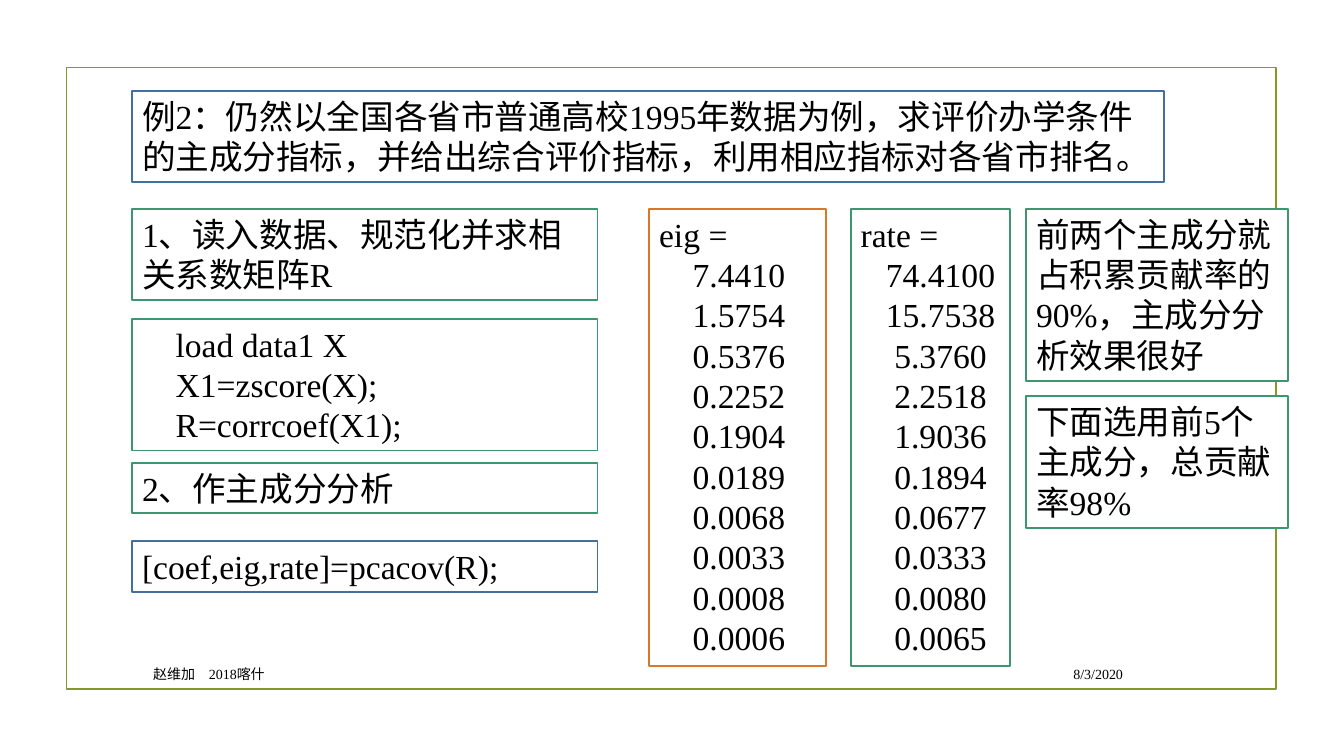
from pptx import Presentation
from pptx import util as u
from pptx.dml.color import RGBColor
from pptx.enum import shapes, text

FONT = "Times New Roman"
BLACK = RGBColor(0x00, 0x00, 0x00)
WHITE = RGBColor(0xFF, 0xFF, 0xFF)
OLIVE = RGBColor(0x83, 0x99, 0x2A)
BLUE = RGBColor(0x44, 0x70, 0x9D)
GREEN = RGBColor(0x3C, 0x97, 0x70)
ORANGE = RGBColor(0xD9, 0x78, 0x28)

# Column positions, shared top edge and line spacing, in cm
STEP_LEFT, STEP_WIDTH = 3.33, 11.73
NOTE_LEFT, NOTE_WIDTH = 25.86, 6.6
COLUMN_TOP = 5.26
LINE_HEIGHT, BOX_PADDING = 1.024, 0.254
SPACE = 6  # width of one space at 24 pt, in points

EIGENVALUES = ["7.4410", "1.5754", "0.5376", "0.2252", "0.1904",
               "0.0189", "0.0068", "0.0033", "0.0008", "0.0006"]
RATES = ["74.4100", "15.7538", "5.3760", "2.2518", "1.9036",
         "0.1894", "0.0677", "0.0333", "0.0080", "0.0065"]


def write_line(paragraph, content, size, align, indent=0):
    paragraph.alignment = align
    if indent:
        properties = paragraph._p.get_or_add_pPr()
        properties.set("marL", str(u.Pt(indent)))
        properties.set("indent", "0")
    run = paragraph.add_run()
    run.text = content
    run.font.size = u.Pt(size)
    run.font.name = FONT
    run.font.color.rgb = BLACK


def add_outline(slide, left, top, width, height, color):
    outline = slide.shapes.add_shape(
        shapes.MSO_SHAPE.RECTANGLE,
        u.Cm(left), u.Cm(top), u.Cm(width), u.Cm(height))
    outline.shadow.inherit = False
    outline.fill.background()
    outline.line.color.rgb = color
    outline.line.width = u.Pt(1.25)
    return outline


def add_box(slide, left, top, width, color, lines, rows=None,
            align=text.PP_ALIGN.LEFT):
    """Each line is (text, indent); rows counts lines after wrapping."""
    height = BOX_PADDING + LINE_HEIGHT * (rows or len(lines))
    box = add_outline(slide, left, top, width, height, color)
    box.fill.solid()
    box.fill.fore_color.rgb = WHITE
    frame = box.text_frame
    frame.word_wrap = True
    frame.auto_size = text.MSO_AUTO_SIZE.SHAPE_TO_FIT_TEXT
    frame.vertical_anchor = text.MSO_ANCHOR.TOP
    for index, (content, indent) in enumerate(lines):
        paragraph = frame.add_paragraph() if index else frame.paragraphs[0]
        write_line(paragraph, content, 24, align, indent)


def add_values(slide, left, width, color, heading, values):
    # Seven-character numbers start one space further left
    lines = [(heading, 0)]
    lines += [(value, SPACE * (4 if len(value) == 6 else 3))
              for value in values]
    add_box(slide, left, COLUMN_TOP, width, color, lines)


def add_footer(slide, left, width, content, align):
    footer = slide.shapes.add_textbox(
        u.Cm(left), u.Cm(16.59), u.Cm(width), u.Cm(0.79))
    frame = footer.text_frame
    frame.word_wrap = True
    frame.vertical_anchor = text.MSO_ANCHOR.MIDDLE
    write_line(frame.paragraphs[0], content, 10, align)


def main():
    deck = Presentation()
    deck.slide_width, deck.slide_height = u.Cm(33.87), u.Cm(19.05)
    slide = deck.slides.add_slide(deck.slide_layouts[6])

    # Page frame and problem statement
    add_outline(slide, 1.68, 1.7, 30.48, 15.67, OLIVE)
    problem = ("例2：仍然以全国各省市普通高校1995年数据为例，求评价办学条件的主成分指标，"
               "并给出综合评价指标，利用相应指标对各省市排名。")
    add_box(slide, STEP_LEFT, 2.29, 26.01, BLUE, [(problem, 0)], rows=2)

    # Steps and code
    add_box(slide, STEP_LEFT, COLUMN_TOP, STEP_WIDTH, GREEN,
            [("1、读入数据、规范化并求相关系数矩阵R", 0)], rows=2)
    code = ["load data1 X", "X1=zscore(X);", "R=corrcoef(X1);"]
    add_box(slide, STEP_LEFT, 8.03, STEP_WIDTH, GREEN,
            [(statement, 4 * SPACE) for statement in code],
            align=text.PP_ALIGN.JUSTIFY)
    add_box(slide, STEP_LEFT, 11.66, STEP_WIDTH, GREEN,
            [("2、作主成分分析", 0)])
    add_box(slide, STEP_LEFT, 13.64, STEP_WIDTH, BLUE,
            [("[coef,eig,rate]=pcacov(R);", 0)])

    # Computed results
    add_values(slide, 16.36, 4.45, ORANGE, "eig =", EIGENVALUES)
    add_values(slide, 21.44, 4.01, GREEN, "rate =", RATES)

    # Conclusions
    add_box(slide, NOTE_LEFT, COLUMN_TOP, NOTE_WIDTH, GREEN,
            [("前两个主成分就占积累贡献率的90%，主成分分析效果很好", 0)], rows=4)
    add_box(slide, NOTE_LEFT, 9.98, NOTE_WIDTH, GREEN,
            [("下面选用前5个主成分，总贡献率98%", 0)], rows=3)

    # Date and author
    add_footer(slide, 24.1, 4.45, "8/3/2020", text.PP_ALIGN.RIGHT)
    add_footer(slide, 3.61, 20.29, "赵维加　2018喀什", text.PP_ALIGN.LEFT)

    deck.save("out.pptx")


if __name__ == "__main__":
    main()
